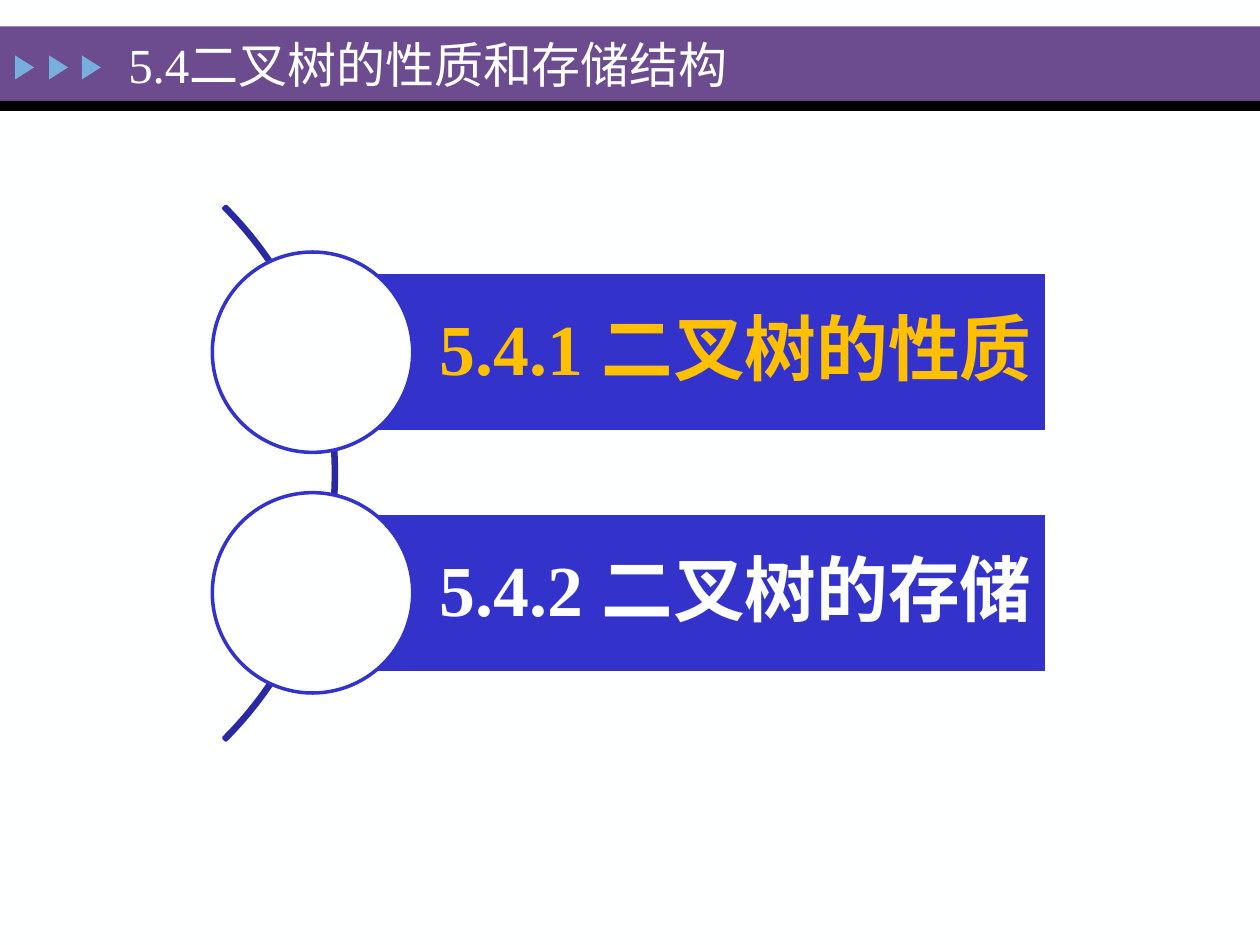
from pptx import Presentation
from pptx.dml.color import RGBColor
from pptx.enum import shapes, text
from pptx.util import Inches, Pt

WHITE = RGBColor(0xFE, 0xFF, 0xFF)
BLACK = RGBColor(0, 0, 0)
PURPLE = RGBColor(0x6C, 0x4C, 0x8F)
SKY = RGBColor(0x76, 0xAE, 0xDD)
BLUE = RGBColor(0x33, 0x33, 0xCC)
NAVY = RGBColor(0x29, 0x29, 0xA3)
GOLD = RGBColor(0xFF, 0xC0, 0x00)
FONT = "Times New Roman"
KIND = shapes.MSO_SHAPE


def add_shape(slide, kind, box, fill=None, line=None):
    shape = slide.shapes.add_shape(kind, *map(Inches, box))
    shape.shadow.inherit = False
    if fill is None:
        shape.fill.background()
    else:
        shape.fill.solid()
        shape.fill.fore_color.rgb = fill
    if line is None:
        shape.line.fill.background()
    else:
        shape.line.color.rgb = line
        shape.line.width = Pt(2)
    return shape


def write(shape, words, size, color, bold=False, insets=(0.1, 0.05, 0.1, 0.05), spacing=1.0):
    """Put one left-aligned paragraph, vertically centred, into the shape."""
    frame = shape.text_frame
    left, top, right, bottom = map(Inches, insets)
    frame_format = {
        "word_wrap": True,
        "vertical_anchor": text.MSO_ANCHOR.MIDDLE,
        "margin_left": left,
        "margin_top": top,
        "margin_right": right,
        "margin_bottom": bottom,
    }
    for name, value in frame_format.items():
        setattr(frame, name, value)
    paragraph = frame.paragraphs[0]
    paragraph.alignment = text.PP_ALIGN.LEFT
    paragraph.line_spacing = spacing
    run = paragraph.add_run()
    run.text = words
    for name, value in {"name": FONT, "size": Pt(size), "bold": bold}.items():
        setattr(run.font, name, value)
    run.font.color.rgb = color


def add_header(slide, title):
    add_shape(slide, KIND.RECTANGLE, (0, 0.21, 10, 0.59), PURPLE)
    add_shape(slide, KIND.RECTANGLE, (0, 0.8, 10, 0.08), BLACK)
    for left in (0.1, 0.37, 0.63):
        arrow = add_shape(slide, KIND.ISOSCELES_TRIANGLE, (left, 0.46, 0.19, 0.15), SKY)
        arrow.rotation = 90
    title_box = slide.shapes.add_textbox(*map(Inches, (0.92, 0.26, 7, 0.5)))
    write(title_box, title, 28, WHITE)


def add_arc(slide):
    arc = add_shape(slide, KIND.BLOCK_ARC, (-3.32, 0.76, 5.99, 5.99), line=NAVY)
    for index, value in enumerate((189, 27, 0.004)):
        arc.adjustments[index] = value


def add_section(slide, top, words, color):
    """Add a bar with its circle, whose centre lies on the bar's left edge."""
    left, height, diameter = 2.48, 1.27, 1.59
    bar = add_shape(slide, KIND.RECTANGLE, (left, top, 5.83, height), BLUE, WHITE)
    write(bar, words, 41, color, True, (1.01, 0.11, 0.11, 0.11), 0.9)
    circle = (left - diameter / 2, top + (height - diameter) / 2, diameter, diameter)
    add_shape(slide, KIND.OVAL, circle, WHITE, BLUE)


def main():
    presentation = Presentation()
    presentation.slide_width = Inches(10)
    presentation.slide_height = Inches(7.5)
    slide = presentation.slides.add_slide(presentation.slide_layouts[6])
    slide.background.fill.solid()
    slide.background.fill.fore_color.rgb = WHITE

    add_header(slide, "5.4二叉树的性质和存储结构")
    add_arc(slide)
    sections = [("5.4.1 二叉树的性质", GOLD), ("5.4.2 二叉树的存储", WHITE)]
    for index, (words, color) in enumerate(sections):
        add_section(slide, 2.16 + 1.91 * index, words, color)

    presentation.save("out.pptx")


if __name__ == "__main__":
    main()
